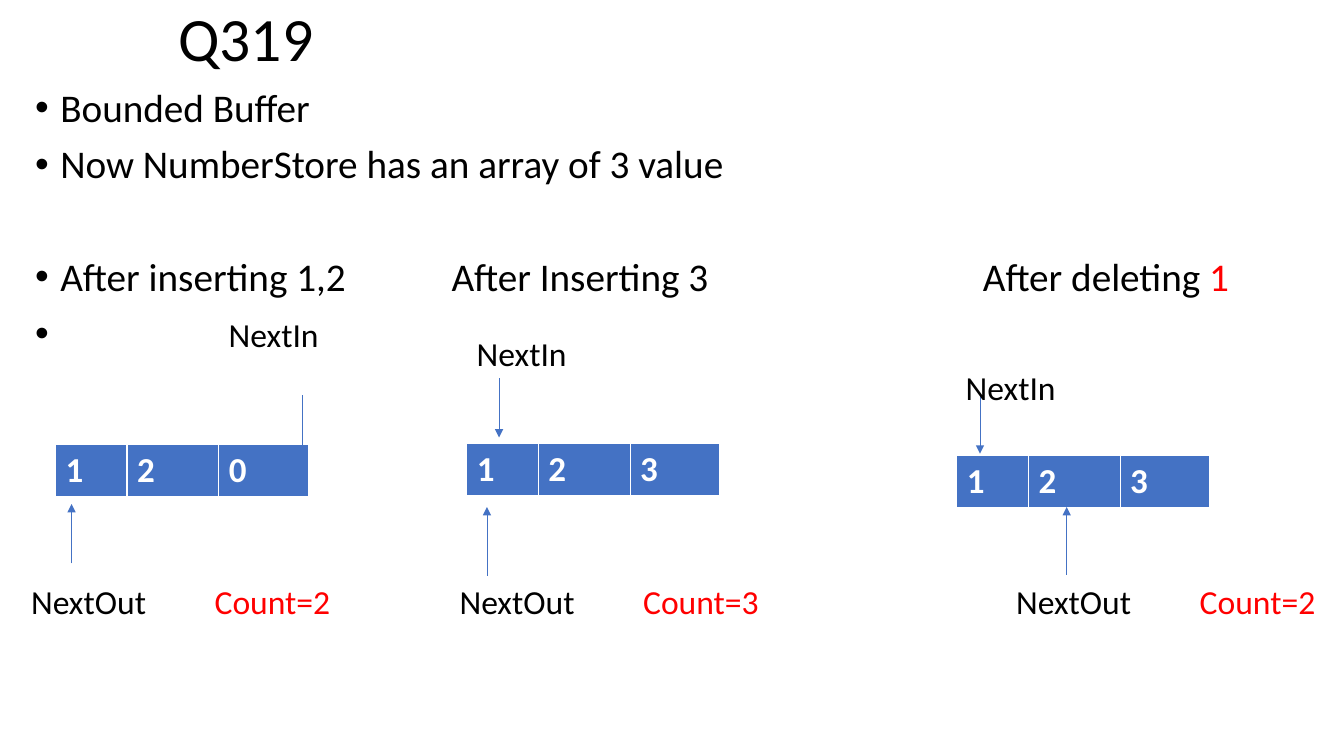
from lxml import etree
from pptx import Presentation
from pptx.dml.color import RGBColor
from pptx.enum.shapes import MSO_CONNECTOR
from pptx.enum.text import MSO_ANCHOR
from pptx.oxml.ns import qn
from pptx.util import Pt

PX = 9144  # 100 px to the inch
FONT = "Calibri"
BLACK = RGBColor(0x00, 0x00, 0x00)
WHITE = RGBColor(0xFF, 0xFF, 0xFF)
RED = RGBColor(0xFF, 0x00, 0x00)
BLUE = RGBColor(0x44, 0x72, 0xC4)
STRAIGHT = MSO_CONNECTOR.STRAIGHT
MIDDLE = MSO_ANCHOR.MIDDLE
TOP = MSO_ANCHOR.TOP

COLUMN_WIDTHS = (71, 91, 89)
ROW_HEIGHT = 52
LABEL_TOP = 571
COUNT_TAB = 182
HEADING_TABS = (413, 940)
NEXT_IN_TAB = 192

# values, table corner, NextIn arrow (x, from, to), NextOut arrow, NextOut label x, count
BUFFERS = (
    ("120", (55, 441), (300, 392, 450), (71, 559, 500), 21, 2),
    ("123", (463, 440), (495, 375, 434), (483, 571, 503), 446, 3),
    ("123", (949, 452), (972, 391, 450), (1058, 570, 503), 998, 2),
)
NEXT_IN_LABELS = ((463, 325), (948, 359))


def px(n):
    return round(n * PX)


def add_run(p, text, size=24, color=BLACK, bold=False):
    r = p.add_run()
    r.text = text
    r.font.name = FONT
    r.font.size = Pt(size)
    r.font.bold = bold
    r.font.color.rgb = color


def add_tabs(p, stops):
    tabs = etree.SubElement(p._p.get_or_add_pPr(), qn("a:tabLst"))
    for stop in stops:
        etree.SubElement(tabs, qn("a:tab"), pos=str(px(stop)), algn="l")


def add_box(slide, x, y, w, h, anchor=TOP):
    tf = slide.shapes.add_textbox(px(x), px(y), px(w), px(h)).text_frame
    tf.word_wrap = True
    tf.vertical_anchor = anchor
    return tf


def add_bullet(p, runs, before=10, tabs=()):
    """Fill p as a bulleted line from (text, size, color) runs."""
    p.line_spacing = 0.9
    p.space_before = Pt(before)
    pPr = p._p.get_or_add_pPr()
    pPr.set("marL", str(px(25)))
    pPr.set("indent", str(px(-25)))
    etree.SubElement(pPr, qn("a:buFont"), typeface="Arial")
    etree.SubElement(pPr, qn("a:buChar"), char="•")
    if tabs:
        add_tabs(p, tabs)
    for text, size, color in runs:
        add_run(p, text, size=size, color=color)


def add_body(slide):
    tf = add_box(slide, 25, 83, 1308, 275)
    headings = "After inserting 1,2\tAfter Inserting 3\tAfter deleting "
    lines = (
        ([("Bounded Buffer", 28, BLACK)], 10, ()),
        ([("Now NumberStore has an array of 3 value", 28, BLACK)], 10, ()),
        ([(headings, 28, BLACK), ("1", 28, RED)], 50, HEADING_TABS),
        ([("\t", 28, BLACK), ("NextIn", 24, BLACK)], 10, (NEXT_IN_TAB,)),
    )
    for i, (runs, before, tabs) in enumerate(lines):
        p = tf.add_paragraph() if i else tf.paragraphs[0]
        add_bullet(p, runs, before=before, tabs=tabs)


def add_arrow(slide, x, start, end):
    line = slide.shapes.add_connector(STRAIGHT, px(x), px(start), px(x), px(end))
    line.line.color.rgb = BLUE
    line.line.width = Pt(0.5)
    etree.SubElement(line.line._get_or_add_ln(), qn("a:tailEnd"), type="triangle")
    etree.SubElement(line._element.spPr, qn("a:effectLst"))


def add_buffer(slide, values, x, y):
    """Draw the values as a one-row table; its style gives the white borders."""
    frame = slide.shapes.add_table(
        1, len(values), px(x), px(y), px(sum(COLUMN_WIDTHS)), px(ROW_HEIGHT))
    table = frame.table
    table.horz_banding = False
    table.rows[0].height = px(ROW_HEIGHT)
    for i, (value, width) in enumerate(zip(values, COLUMN_WIDTHS)):
        table.columns[i].width = px(width)
        cell = table.cell(0, i)
        cell.fill.solid()
        cell.fill.fore_color.rgb = BLUE
        add_run(cell.text_frame.paragraphs[0], value, size=25, color=WHITE, bold=True)


def add_out_label(slide, x, count):
    p = add_box(slide, x, LABEL_TOP, 319, 50).paragraphs[0]
    add_tabs(p, (COUNT_TAB,))
    add_run(p, "NextOut\t")
    add_run(p, f"Count={count}", color=RED)


def main():
    prs = Presentation()
    prs.slide_width, prs.slide_height = px(1333), px(750)
    slide = prs.slides.add_slide(prs.slide_layouts[6])

    title = add_box(slide, 167, 0, 850, 83, anchor=MIDDLE).paragraphs[0]
    title.line_spacing = 0.9
    add_run(title, "Q319", size=44)
    add_body(slide)

    for values, corner, in_arrow, out_arrow, label_x, count in BUFFERS:
        add_buffer(slide, values, *corner)
        add_arrow(slide, *in_arrow)
        add_arrow(slide, *out_arrow)
        add_out_label(slide, label_x, count)
    for x, y in NEXT_IN_LABELS:
        add_run(add_box(slide, x, y, 171, 50).paragraphs[0], "NextIn")

    prs.save("out.pptx")


if __name__ == "__main__":
    main()
